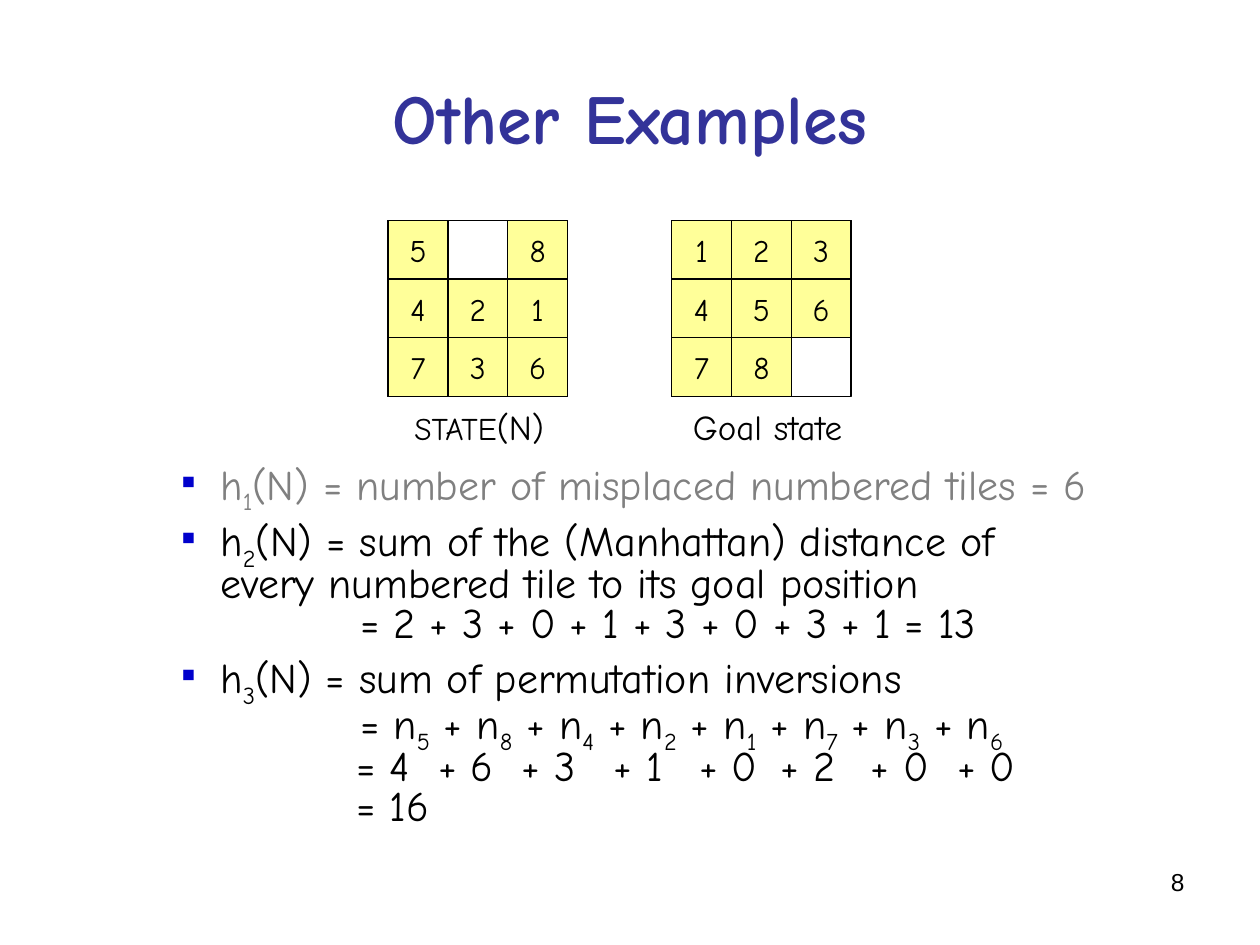
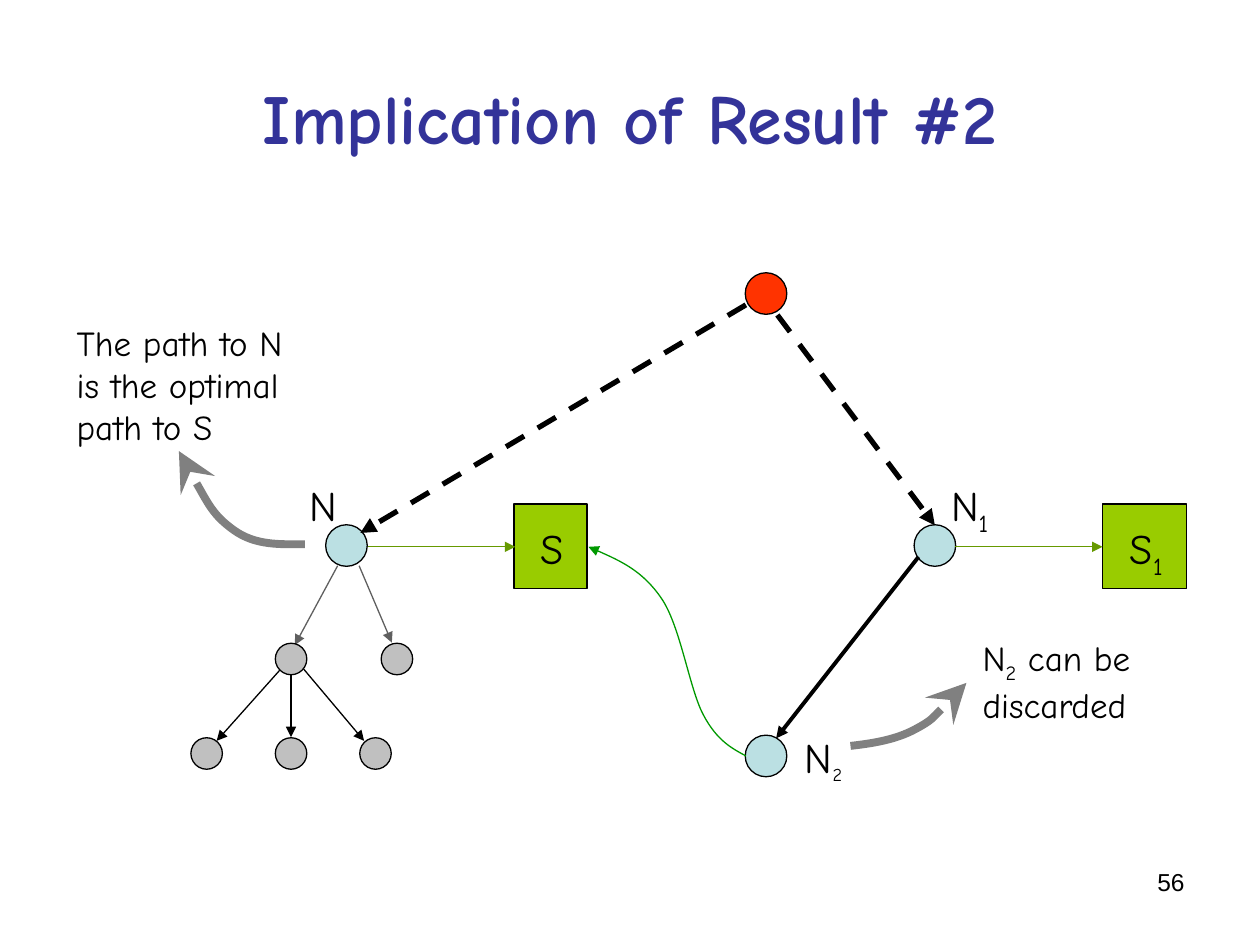
from itertools import product

from lxml.etree import SubElement
from pptx import Presentation
from pptx.dml.color import RGBColor
from pptx.enum.dml import MSO_LINE
from pptx.enum.shapes import MSO_CONNECTOR, MSO_SHAPE
from pptx.enum.text import MSO_ANCHOR, PP_ALIGN
from pptx.oxml.ns import qn
from pptx.util import Inches, Pt

HAND_FONT, NUMBER_FONT = "Comic Neue", "Arial"
BLACK, GRAY, TITLE_BLUE, BULLET_BLUE = "000000", "808080", "333399", "0000CC"
TILE_YELLOW, ROOT_RED, NODE_BLUE = "FFFF99", "FF3300", "BBE0E3"
LEAF_GRAY, BRANCH_GRAY = "C0C0C0", "5F5F5F"
STATE_GREEN, ARROW_GREEN, CURVE_GREEN = "99CC00", "669900", "009900"
TILE_WIDTH, TILE_HEIGHT = 0.475, 0.465


def color(hex_code):
    return RGBColor.from_string(hex_code)


def add_span(para, text, size, hex_code=BLACK, font=HAND_FONT):
    span = para.add_run()
    span.text = text
    span.font.size = Pt(size)
    span.font.name = font
    span.font.color.rgb = color(hex_code)
    return span


def add_text(para, text, size, hex_code=BLACK, sub_size=None):
    """Write text in which an underscore lowers the next character."""
    for line_index, line in enumerate(text.split("\n")):
        if line_index:
            para.add_line_break()
        first, *rest = line.split("_")
        if first:
            add_span(para, first, size, hex_code)
        for part in rest:
            lowered = add_span(para, part[0], sub_size or size, hex_code)
            lowered.font._element.set("baseline", "-25000")
            if part[1:]:
                add_span(para, part[1:], size, hex_code)


def add_text_box(page, at):
    box = page.shapes.add_textbox(*map(Inches, at))
    box.text_frame.word_wrap = True
    return box.text_frame


def add_label(page, at, text, size, sub_size=None):
    para = add_text_box(page, at).paragraphs[0]
    add_text(para, text, size, sub_size=sub_size)
    return para


def add_outlined(page, preset, at, fill=None):
    shape = page.shapes.add_shape(preset, *map(Inches, at))
    shape.shadow.inherit = False
    if fill:
        shape.fill.solid()
        shape.fill.fore_color.rgb = color(fill)
    else:
        shape.fill.background()
    shape.line.color.rgb = color(BLACK)
    shape.line.width = Pt(0.75)
    return shape


def add_circle(page, center_x, center_y, diameter, fill):
    corner = center_x - diameter / 2, center_y - diameter / 2
    add_outlined(page, MSO_SHAPE.OVAL, (*corner, diameter, diameter), fill)


def style_arrow(shape, hex_code, width, head, head_size="med"):
    shape.line.color.rgb = color(hex_code)
    shape.line.width = Pt(width)
    SubElement(shape.line._get_or_add_ln(), qn("a:tailEnd"),
               type=head, w=head_size, len=head_size)


def add_arrow(page, start, end, hex_code=BLACK, width=0.75, dashed=False):
    arrow = page.shapes.add_connector(MSO_CONNECTOR.STRAIGHT, *map(Inches, (*start, *end)))
    if dashed:
        arrow.line.dash_style = MSO_LINE.DASH
    style_arrow(arrow, hex_code, width, "triangle")
    SubElement(arrow._element.spPr, qn("a:effectLst"))


def add_curved_arrow(page, points, hex_code, width, head, head_size="med"):
    """Draw an arrow through a start point followed by triples of Bezier points."""
    start, *others = [(Inches(x), Inches(y)) for x, y in points]
    builder = page.shapes.build_freeform(*start)
    builder.add_line_segments(others, close=False)
    curve = builder.convert_to_shape()
    outline = next(curve._element.iter(qn("a:path")))
    segments = outline.findall(qn("a:lnTo"))
    for first in range(0, len(segments), 3):
        bezier = SubElement(outline, qn("a:cubicBezTo"))
        for segment in segments[first:first + 3]:
            bezier.append(segment[0])
            outline.remove(segment)
    curve.shadow.inherit = False
    curve.fill.background()
    style_arrow(curve, hex_code, width, head, head_size)


def start_page(deck, title, number):
    page = deck.slides.add_slide(deck.slide_layouts[5])
    heading = page.shapes.title
    heading.left, heading.top, heading.width, heading.height = map(Inches, (0.5, 0.3, 9, 1.25))
    heading.text_frame.vertical_anchor = MSO_ANCHOR.MIDDLE
    para = heading.text_frame.paragraphs[0]
    para.alignment = PP_ALIGN.CENTER
    add_span(para, title, 40, TITLE_BLUE).font.bold = True

    para = add_text_box(page, (7.17, 6.83, 2.33, 0.52)).paragraphs[0]
    para.alignment = PP_ALIGN.RIGHT
    add_span(para, number, 14, font=NUMBER_FONT)
    return page


def add_puzzle(page, left, top, rows):
    add_outlined(page, MSO_SHAPE.RECTANGLE, (left, top, 3 * TILE_WIDTH, 3 * TILE_HEIGHT))
    for row, column in product(range(3), repeat=2):
        digit = rows[row][column]
        if digit == " ":
            continue
        at = left + column * TILE_WIDTH, top + row * TILE_HEIGHT, TILE_WIDTH, TILE_HEIGHT
        tile = add_outlined(page, MSO_SHAPE.RECTANGLE, at, TILE_YELLOW)
        frame = tile.text_frame
        frame.word_wrap = False
        frame.vertical_anchor = MSO_ANCHOR.MIDDLE
        para = frame.paragraphs[0]
        para.alignment = PP_ALIGN.CENTER
        add_text(para, digit, 18)


def format_bullet(para):
    properties = para._p.get_or_add_pPr()
    properties.set("marL", str(Inches(0.81)))
    properties.set("indent", str(Inches(-0.31)))
    bullet_color = SubElement(properties, qn("a:buClr"))
    SubElement(bullet_color, qn("a:srgbClr"), val=BULLET_BLUE)
    SubElement(properties, qn("a:buFont"), typeface=NUMBER_FONT)
    SubElement(properties, qn("a:buChar"), char="▪")


def set_tabs(para, stops):
    tabs = SubElement(para._p.get_or_add_pPr(), qn("a:tabLst"))
    for stop in stops:
        SubElement(tabs, qn("a:tab"), pos=str(Inches(stop)), algn="l")


def add_heuristics(page, left, top, width, height):
    sum_tabs = [1.89, 2.54, 3.2, 3.93, 4.61, 5.26, 5.97, 6.66]
    lines = [
        ("h_1(N) = number of misplaced numbered tiles = 6", None, GRAY),
        ("h_2(N) = sum of the (Manhattan) distance of\nevery numbered tile to its goal position",
         None, BLACK),
        ("\t= 2 + 3 + 0 + 1 + 3 + 0 + 3 + 1 = 13", [1.92], BLACK),
        ("h_3(N) = sum of permutation inversions", None, BLACK),
        ("\t= n_5 + n_8 + n_4 + n_2 + n_1 + n_7 + n_3 + n_6", [1.92], BLACK),
        ("\t= 4\t+ 6\t+ 3\t+ 1\t+ 0\t+ 2\t+ 0\t+ 0", sum_tabs, BLACK),
        ("\t= 16", sum_tabs[:1], BLACK),
    ]
    frame = add_text_box(page, (left, top, width, height))
    for index, (text, tabs, hex_code) in enumerate(lines):
        para = frame.add_paragraph() if index else frame.paragraphs[0]
        if tabs:
            set_tabs(para, tabs)
        else:
            format_bullet(para)
        para.line_spacing = 0.8
        para.space_before = Pt(6 if index and not tabs else 0)
        add_text(para, text, 24, hex_code)


def build_examples(deck):
    page = start_page(deck, "Other Examples", "8")
    add_heuristics(page, 0.84, 3.63, 8.5, 3.28)
    add_puzzle(page, 3.08, 1.75, ["5 8", "421", "736"])
    state = add_label(page, (3.19, 3.17, 1.6, 0.44), "STATE", 18)
    add_span(state, "(N)", 20)
    add_puzzle(page, 5.33, 1.75, ["123", "456", "78 "])
    add_label(page, (5.4, 3.17, 1.6, 0.44), "Goal state", 20)


def add_search_paths(page, left, top):
    """Draw the root, the nodes N, N1 and N2, and the states they reach."""
    def at(x, y):
        return left + x, top + y

    for x, y, fill in [(3.5, 0.16, ROOT_RED), (0.17, 2.16, NODE_BLUE),
                       (4.84, 2.16, NODE_BLUE), (3.5, 3.83, NODE_BLUE)]:
        add_circle(page, *at(x, y), 0.33, fill)
    for x, width in [(1.5, 0.58), (6.17, 0.67)]:
        add_outlined(page, MSO_SHAPE.RECTANGLE, (*at(x, 1.83), width, 0.67), STATE_GREEN)
    add_arrow(page, at(3.34, 0.25), at(0.28, 2.06), width=3, dashed=True)
    add_arrow(page, at(3.59, 0.33), at(4.84, 2), width=3, dashed=True)
    for x in (0.34, 5):
        add_arrow(page, at(x, 2.17), at(x + 1.17, 2.17), ARROW_GREEN)
    add_arrow(page, at(4.71, 2.25), at(3.58, 3.69), width=2.25)
    to_state = [(3.34, 3.83), (3.23, 3.77), (3.11, 3.71), (3, 3.5), (2.89, 3.29),
                (2.82, 2.8), (2.67, 2.58), (2.52, 2.36), (2.3, 2.26), (2.09, 2.17)]
    add_curved_arrow(page, [at(*point) for point in to_state], CURVE_GREEN, 0.75, "triangle")

    for x, y, text, sub_size in [
        (-0.22, 1.59, "N", None), (4.87, 1.59, "N_1", None), (1.61, 1.93, "S", None),
        (6.29, 1.93, "S_1", None), (3.71, 3.59, "N_2", 18),
    ]:
        add_label(page, (*at(x, y), 0.7, 0.56), text, 24, sub_size)


def add_subtree(page, left, top):
    """Draw the gray descendants of N."""
    def at(x, y):
        return left + x, top + y

    for start, end, hex_code in [
        ((1.16, 0), (0.82, 0.63), BRANCH_GRAY), ((1.33, 0), (1.59, 0.61), BRANCH_GRAY),
        ((0.7, 0.83), (0.2, 1.39), BLACK), ((0.79, 0.87), (0.79, 1.36), BLACK),
        ((0.89, 0.82), (1.37, 1.39), BLACK),
    ]:
        add_arrow(page, at(*start), at(*end), hex_code)
    for x, y in [(0.79, 0.74), (1.63, 0.74), (0.12, 1.49), (0.79, 1.49), (1.46, 1.49)]:
        add_circle(page, *at(x, y), 0.25, LEAF_GRAY)


def add_callout(page, left, top, width, height, text, points):
    add_label(page, (left, top, width, height), text, 20)
    pointer = [(left + x, top + y) for x, y in points]
    add_curved_arrow(page, pointer, GRAY, 4.5, "stealth", "lg")


def build_implication(deck):
    page = start_page(deck, "Implication of Result #2", "56")
    add_search_paths(page, 2.58, 2.17)
    add_subtree(page, 1.52, 4.49)
    add_callout(page, 0.51, 2.5, 2.1, 1.1, "The path to N\nis the optimal\npath to S",
                [(1.91, 1.82), (1.71, 1.82), (1.52, 1.83), (1.35, 1.71),
                 (1.18, 1.59), (1.05, 1.34), (0.91, 1.08)])
    add_callout(page, 7.7, 5, 1.7, 0.82, "N_2 can be\ndiscarded",
                [(-0.95, 0.92), (-0.77, 0.9), (-0.59, 0.87), (-0.44, 0.79),
                 (-0.29, 0.71), (-0.16, 0.56), (-0.03, 0.42)])


def main():
    deck = Presentation()
    deck.slide_width, deck.slide_height = Inches(10), Inches(7.5)
    build_examples(deck)
    build_implication(deck)
    deck.save("out.pptx")


if __name__ == "__main__":
    main()
